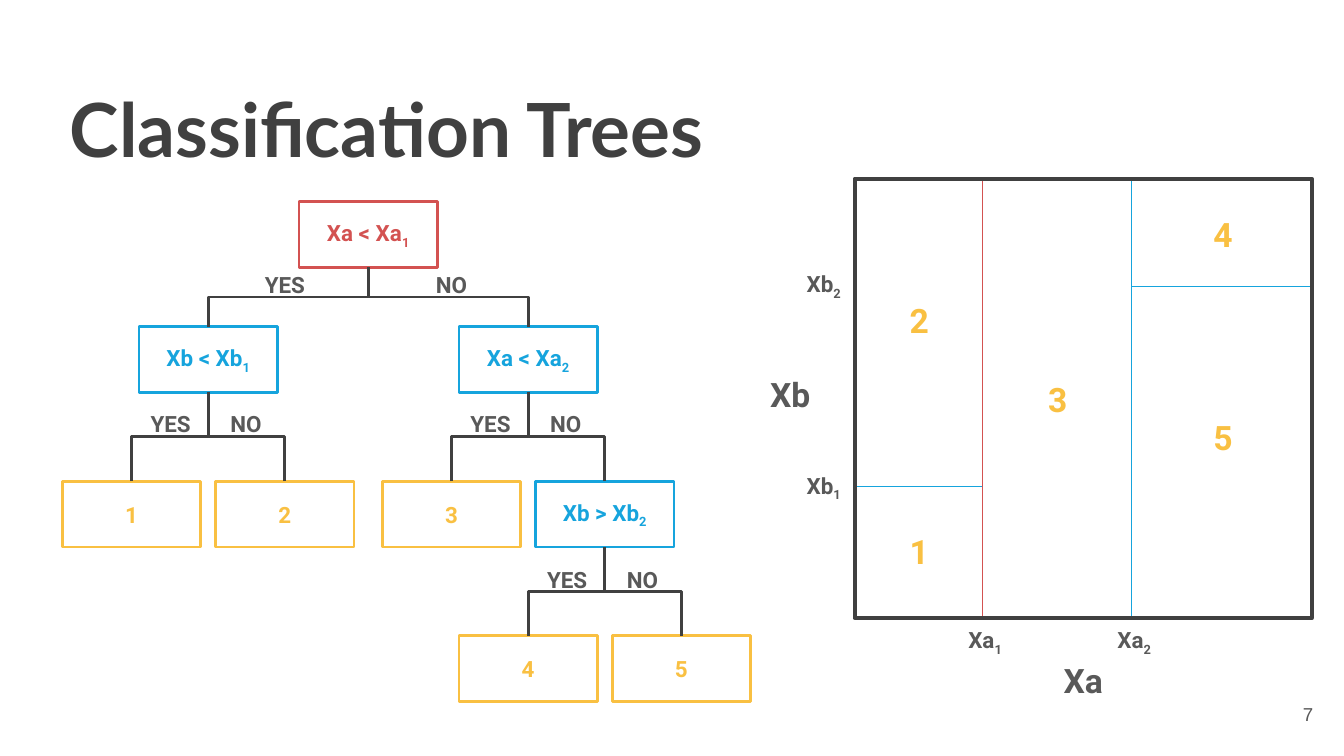
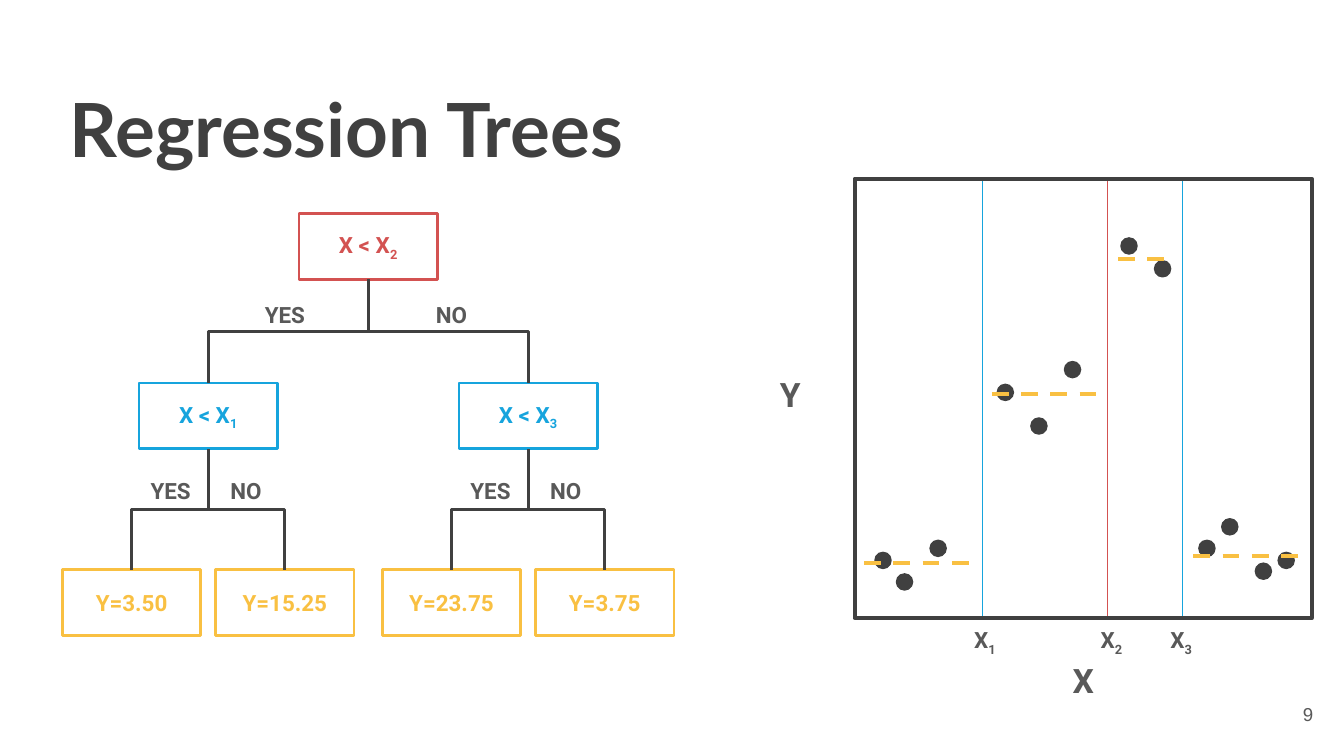
from dataclasses import dataclass
from typing import Any, Optional

import lxml.etree
import pptx
import pptx.dml.color
import pptx.enum.dml
import pptx.enum.shapes
import pptx.enum.text
import pptx.oxml.ns
import pptx.util

Inches = pptx.util.Inches
Pt = pptx.util.Pt
qn = pptx.oxml.ns.qn
ANCHOR = pptx.enum.text.MSO_ANCHOR
ALIGN = pptx.enum.text.PP_ALIGN
AUTO = pptx.enum.text.MSO_AUTO_SIZE
CONNECTOR = pptx.enum.shapes.MSO_CONNECTOR
SHAPE = pptx.enum.shapes.MSO_SHAPE


# Theme and shared geometry
@dataclass(frozen=True)
class Theme:
    dark: str = "404040"
    grey: str = "595959"
    red: str = "D35251"
    blue: str = "16A4DD"
    yellow: str = "F9C042"
    title_font: str = "Lato"
    body_font: str = "Roboto"
    number_font: str = "Arial"
    title_size: float = 40
    axis_size: float = 18
    text_size: float = 12
    number_size: float = 10
    thin: float = 0.75
    medium: float = 1.5
    thick: float = 2.25


@dataclass(frozen=True)
class Area:
    left: float
    top: float
    width: float
    height: float

    @property
    def right(self) -> float:
        return self.left + self.width

    @property
    def bottom(self) -> float:
        return self.top + self.height

    def inches(self) -> list:
        return [Inches(v) for v in (self.left, self.top, self.width, self.height)]


THEME = Theme()
SLIDE_WIDTH = 10
SLIDE_HEIGHT = SLIDE_WIDTH * 9 / 16
TITLE = Area(0.42, 0.52, 7.89, 0.63)
NUMBER = Area(9.27, 5.1, 0.6, 0.43)
PLOT = Area(6.36, 1.33, 3.4, 3.27)
NODE_WIDTH, NODE_HEIGHT = 1.03, 0.49
LABEL_WIDTH = 0.6
ROOT_X = 2.74
DOT = 0.12


# Content records
@dataclass(frozen=True)
class Node:
    text: str  # "_" sets off a subscript
    yes: Optional["Node"] = None
    no: Optional["Node"] = None


@dataclass(frozen=True)
class Level:
    top: float
    label_top: float = 0
    reach: float = 0.57  # parent centre to child centre
    spread: float = 0.28  # parent centre to YES/NO centre


@dataclass(frozen=True)
class Segment:
    x1: float
    y1: float
    x2: float
    y2: float
    color: str


@dataclass(frozen=True)
class Label:
    text: str
    x: float  # centre
    y: float  # centre
    size: float = THEME.text_size
    color: str = THEME.grey


# Drawing helpers
def apply(target: Any, formats: dict) -> None:
    for name, value in formats.items():
        setattr(target, name, value)


def rgb(color: str) -> pptx.dml.color.RGBColor:
    return pptx.dml.color.RGBColor.from_string(color)


def write(shape: Any, text: str, color: str, size: float, font: str = THEME.body_font,
          bold: bool = True, align: Any = ALIGN.CENTER, anchor: Any = ANCHOR.MIDDLE,
          auto_size: Any = AUTO.NONE) -> None:
    frame = shape.text_frame
    margins = dict.fromkeys(
        ("margin_left", "margin_top", "margin_right", "margin_bottom"), Inches(0.1))
    apply(frame, {**margins, "word_wrap": True, "auto_size": auto_size,
                  "vertical_anchor": anchor})
    paragraph = frame.paragraphs[0]
    paragraph.alignment = align
    base, _, subscript = text.partition("_")
    for part in filter(None, (base, subscript)):
        run = paragraph.add_run()
        run.text = part
        apply(run.font, {"size": Pt(size), "name": font, "bold": bold})
        run.font.color.rgb = rgb(color)
    if subscript:
        run.font._element.set("baseline", "-25000")


def add_label(slide: Any, label: Label) -> None:
    height = 0.5 if label.size == THEME.axis_size else 0.4
    area = Area(label.x - LABEL_WIDTH / 2, label.y - height / 2, LABEL_WIDTH, height)
    write(slide.shapes.add_textbox(*area.inches()), label.text, label.color, label.size,
          anchor=ANCHOR.TOP, auto_size=AUTO.SHAPE_TO_FIT_TEXT)


def add_outline(slide: Any, kind: Any, area: Area, color: str, weight: float,
                filled: bool = False) -> Any:
    shape = slide.shapes.add_shape(kind, *area.inches())
    shape.shadow.inherit = False
    if filled:
        shape.fill.solid()
        shape.fill.fore_color.rgb = rgb(color)
    else:
        shape.fill.background()
    shape.line.color.rgb = rgb(color)
    shape.line.width = Pt(weight)
    return shape


def style_connector(connector: Any, color: str, weight: float, dashed: bool = False) -> None:
    connector.line.color.rgb = rgb(color)
    connector.line.width = Pt(weight)
    if dashed:
        connector.line.dash_style = pptx.enum.dml.MSO_LINE.DASH
    lxml.etree.SubElement(connector._element.spPr, qn("a:effectLst"))


def add_segment(slide: Any, segment: Segment, weight: float = THEME.thin,
                dashed: bool = False) -> None:
    ends = [Inches(v) for v in (segment.x1, segment.y1, segment.x2, segment.y2)]
    connector = slide.shapes.add_connector(CONNECTOR.STRAIGHT, *ends)
    style_connector(connector, segment.color, weight, dashed)


def add_branch(slide: Any, parent: Any, child: Any) -> None:
    """Elbow that leaves the parent downwards and enters the child from above."""
    rightward = child.left > parent.left
    ends = [(parent, 2), (child, 0)]
    if not rightward:
        ends.reverse()
    branch = slide.shapes.add_connector(CONNECTOR.ELBOW, 0, 0, 0, 0)
    branch.begin_connect(*ends[0])
    branch.end_connect(*ends[1])
    # Turn the frame a quarter so the middle run of the elbow lies flat
    across, down = branch.width, branch.height
    shift = (across - down) // 2
    apply(branch, {"left": branch.left + shift, "top": branch.top - shift,
                   "width": down, "height": across})
    xfrm = branch._element.spPr.find(qn("a:xfrm"))
    xfrm.attrib.clear()
    xfrm.set("rot", "16200000")
    if rightward:
        xfrm.set("flipH", "1")
    style_connector(branch, THEME.dark, THEME.medium)


# Slide parts
def add_page(deck: Any, title: str, number: str) -> Any:
    slide = deck.slides.add_slide(deck.slide_layouts[5])
    heading = slide.shapes.title
    apply(heading, dict(zip(("left", "top", "width", "height"), TITLE.inches())))
    write(heading, title, THEME.dark, THEME.title_size, THEME.title_font,
          align=ALIGN.LEFT, anchor=ANCHOR.TOP)
    write(slide.shapes.add_textbox(*NUMBER.inches()), number, THEME.grey,
          THEME.number_size, THEME.number_font, bold=False, align=ALIGN.RIGHT)
    return slide


def add_tree(slide: Any, node: Node, levels: list[Level], x: float = ROOT_X,
             depth: int = 0) -> Any:
    level = levels[depth]
    color = THEME.yellow if node.yes is None else THEME.blue if depth else THEME.red
    area = Area(x - NODE_WIDTH / 2, level.top, NODE_WIDTH, NODE_HEIGHT)
    box = add_outline(slide, SHAPE.RECTANGLE, area, color, THEME.medium)
    write(box, node.text, color, THEME.text_size)
    for answer, child, side in (("YES", node.yes, -1), ("NO", node.no, 1)):
        if child:
            child_box = add_tree(slide, child, levels, x + side * level.reach, depth + 1)
            add_branch(slide, box, child_box)
            add_label(slide, Label(answer, x + side * level.spread, level.label_top + 0.2))
    return box


def add_plot(slide: Any, x_name: str, y_name: str, cuts: list[Segment],
             labels: list[Label]) -> None:
    for cut in cuts:
        add_segment(slide, cut)
    axes = [Label(y_name, 5.88, 2.93, THEME.axis_size),
            Label(x_name, 8.06, 5.06, THEME.axis_size)]
    for label in axes + labels:
        add_label(slide, label)
    add_outline(slide, SHAPE.RECTANGLE, PLOT, THEME.dark, THEME.thick)


def vertical_cut(x: float, color: str) -> Segment:
    return Segment(x, PLOT.top, x, PLOT.bottom, color)


def x_tick(text: str, x: float) -> Label:
    return Label(text, x, 4.76)


def y_tick(text: str, y: float) -> Label:
    return Label(text, 6.13, y)


# Slides
def build_classification(deck: Any) -> None:
    slide = add_page(deck, "Classification Trees", "7")
    tree = Node("Xa < Xa_1",
                Node("Xb < Xb_1", Node("1"), Node("2")),
                Node("Xa < Xa_2", Node("3"), Node("Xb > Xb_2", Node("4"), Node("5"))))
    add_tree(slide, tree, [Level(1.5, 1.92, 1.19, 0.62), Level(2.43, 2.95),
                           Level(3.58, 4.11), Level(4.73)])
    xa1, xa2 = 7.31, 8.42
    cuts = [vertical_cut(xa1, THEME.red), vertical_cut(xa2, THEME.blue),
            Segment(PLOT.left, 3.62, xa1, 3.62, THEME.blue),
            Segment(xa2, 2.13, PLOT.right, 2.13, THEME.blue)]
    centres = [(6.84, 4.1), (6.84, 2.38), (7.87, 2.97), (9.1, 1.74), (9.1, 3.25)]
    regions = [Label(str(region), x, y, THEME.axis_size, THEME.yellow)
               for region, (x, y) in enumerate(centres, 1)]
    ticks = [y_tick("Xb_1", 3.61), y_tick("Xb_2", 2.11),
             x_tick("Xa_1", 7.33), x_tick("Xa_2", 8.44)]
    add_plot(slide, "Xa", "Xb", cuts, regions + ticks)


def build_regression(deck: Any) -> None:
    slide = add_page(deck, "Regression Trees", "9")
    tree = Node("X < X_2",
                Node("X < X_1", Node("Y=3.50"), Node("Y=15.25")),
                Node("X < X_3", Node("Y=23.75"), Node("Y=3.75")))
    add_tree(slide, tree, [Level(1.59, 2.14, 1.19, 0.62), Level(2.85, 3.45), Level(4.24)])
    cuts = [vertical_cut(7.31, THEME.blue), vertical_cut(8.24, THEME.red),
            vertical_cut(8.8, THEME.blue)]
    ticks = [x_tick("X_1", 7.33), x_tick("X_2", 8.27), x_tick("X_3", 8.79)]
    # Observations, by left and top
    for left, top in [(6.51, 4.11), (6.67, 4.27), (6.92, 4.02), (7.42, 2.86),
                      (7.67, 3.11), (7.92, 2.69), (8.34, 1.77), (8.59, 1.94),
                      (8.92, 4.02), (9.09, 3.86), (9.34, 4.19), (9.51, 4.11)]:
        add_outline(slide, SHAPE.OVAL, Area(left, top, DOT, DOT), THEME.dark,
                    THEME.thin, filled=True)
    add_plot(slide, "X", "Y", cuts, ticks)
    # Predicted value of each interval
    for start, end, y in [(6.43, 7.24, 4.19), (7.38, 8.18, 2.93),
                          (8.88, 9.69, 4.14), (8.32, 8.73, 1.93)]:
        add_segment(slide, Segment(start, y, end, y, THEME.yellow), THEME.thick, dashed=True)


def main() -> None:
    deck = pptx.Presentation()
    apply(deck, {"slide_width": Inches(SLIDE_WIDTH), "slide_height": Inches(SLIDE_HEIGHT)})
    build_classification(deck)
    build_regression(deck)
    deck.save("out.pptx")


if __name__ == "__main__":
    main()
